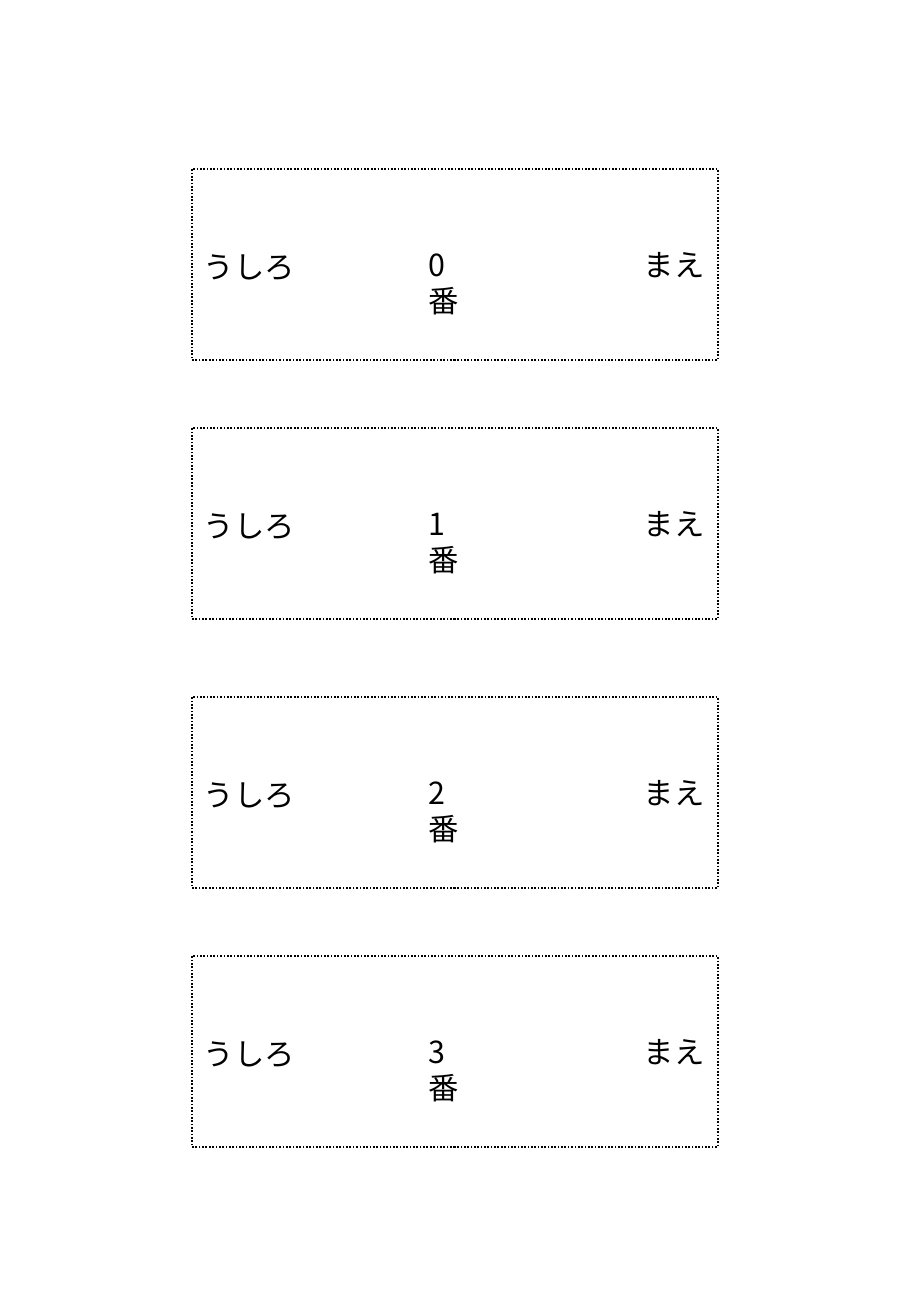
"""Draws four dotted cards, numbered 0 to 3, with their back and front ends marked."""
import pptx
import pptx.dml.color
import pptx.enum.dml
import pptx.enum.shapes
import pptx.enum.text
import pptx.oxml.ns
import pptx.util
import lxml.etree

FONT = "Noto Sans CJK JP"
BLACK = "000000"
LEFT, TOP = 192, 169
CARD_W, CARD_H = 526, 191
CARD_PITCH, PAIR_PITCH = 259, 528


def px(n):
    return pptx.util.Emu(n * 7526)


def color(value):
    return pptx.dml.color.RGBColor.from_string(value)


def apply(obj, values):
    for name, value in values.items():
        setattr(obj, name, value)


def add_label(shapes, text, x, y, w, wrap=False):
    sp = shapes.add_textbox(px(x), px(y), px(w), px(49))
    tf = sp.text_frame
    apply(tf, {"word_wrap": wrap,
               "vertical_anchor": pptx.enum.text.MSO_ANCHOR.TOP})
    r = tf.paragraphs[0].add_run()
    r.text = text
    apply(r.font, {"name": FONT, "size": pptx.util.Pt(18)})
    r.font.color.rgb = color(BLACK)
    ea = lxml.etree.SubElement(r.font._element, pptx.oxml.ns.qn("a:ea"))
    ea.set("typeface", FONT)


def add_frame(shapes, x, y):
    sp = shapes.add_shape(pptx.enum.shapes.MSO_SHAPE.RECTANGLE,
                          px(x), px(y), px(CARD_W), px(CARD_H))
    sp.shadow.inherit = False
    sp.fill.background()
    sp.line.color.rgb = color(BLACK)
    apply(sp.line, {"width": pptx.util.Pt(1),
                    "dash_style": pptx.enum.dml.MSO_LINE.ROUND_DOT})


def add_card(s, number, x, y):
    shapes = s.shapes.add_group_shape().shapes
    add_label(shapes, "うしろ", x, y + 73, 117)
    add_label(shapes, "まえ", x + 440, y + 71, 86)
    add_label(shapes, f"{number}番", x + 225, y + 71, 70, wrap=True)
    add_frame(shapes, x, y)


def main():
    prs = pptx.Presentation()
    apply(prs, {"slide_width": px(911), "slide_height": px(1316)})
    s = prs.slides.add_slide(prs.slide_layouts[6])
    for number in range(4):
        pair, place = divmod(number, 2)
        add_card(s, number, LEFT, TOP + pair * PAIR_PITCH + place * CARD_PITCH)
    prs.save("out.pptx")


if __name__ == "__main__":
    main()
